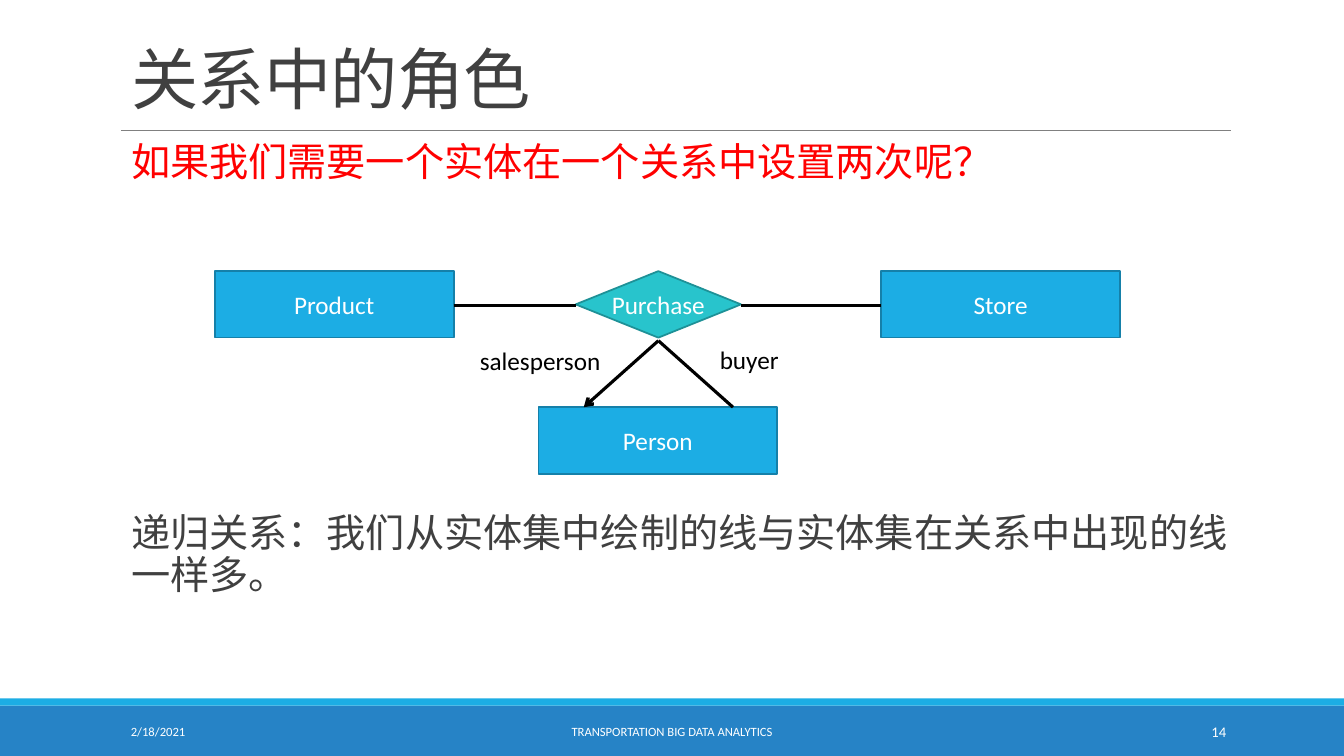
from lxml.etree import SubElement
from pptx import Presentation
from pptx.dml.color import RGBColor
from pptx.enum.shapes import MSO_CONNECTOR, MSO_SHAPE
from pptx.enum.text import MSO_ANCHOR, MSO_AUTO_SIZE, PP_ALIGN
from pptx.oxml.ns import qn
from pptx.util import Inches, Pt

COLORS = {
    "sky": "1CADE4", "sky edge": "1580A9", "teal": "28C4CC", "teal edge": "1E9197",
    "blue": "2683C6", "gray": "808080", "dark": "404040", "red": "FF0000",
    "black": "000000", "white": "FFFFFF",
}


def color(name):
    return RGBColor.from_string(COLORS[name])


class Deck:
    font = "Calibri"

    def __init__(self):
        self.file = Presentation()
        self.file.slide_width = Inches(13.33)
        self.file.slide_height = Inches(7.5)
        self.slide = self.file.slides.add_slide(self.file.slide_layouts[1])
        self.shapes = self.slide.shapes

    def style(self, par, size, ink, align=PP_ALIGN.LEFT):
        par.alignment = align
        for run in par.runs:
            run.font.name = self.font
            run.font.size = Pt(size)
            run.font.color.rgb = color(ink)

    def place(self, holder, box, anchor):
        holder.left, holder.top, holder.width, holder.height = map(Inches, box)
        frame = holder.text_frame
        frame.word_wrap = True
        frame.auto_size = MSO_AUTO_SIZE.NONE
        frame.vertical_anchor = anchor
        return frame

    def title(self, text, box):
        frame = self.place(self.shapes.title, box, MSO_ANCHOR.BOTTOM)
        frame.text = text
        par = frame.paragraphs[0]
        par.line_spacing = 0.85
        self.style(par, 48, "dark")
        par.runs[0].font._element.set("spc", "-50")

    def body(self, items, box):
        frame = self.place(self.slide.placeholders[1], box, MSO_ANCHOR.TOP)
        frame.margin_left = frame.margin_right = 0
        frame.text = "\n".join(text for text, ink, gap in items)
        for par, (text, ink, gap) in zip(frame.paragraphs, items):
            props = par._p.get_or_add_pPr()
            props.set("marL", str(Inches(0.1)))
            props.set("indent", "0")
            SubElement(props, qn("a:buNone"))
            par.line_spacing = 0.9
            par.space_before = Pt(gap)
            par.space_after = Pt(2)
            self.style(par, 28, ink)

    def shape(self, kind, box, fill, edge=None, text=""):
        shape = self.shapes.add_shape(kind, *map(Inches, box))
        shape.shadow.inherit = False
        shape.fill.solid()
        shape.fill.fore_color.rgb = color(fill)
        if edge:
            shape.line.color.rgb = color(edge)
            shape.line.width = Pt(1.25)
        else:
            shape.line.fill.background()
        if text:
            frame = shape.text_frame
            frame.text = text
            frame.word_wrap = False
            frame.vertical_anchor = MSO_ANCHOR.MIDDLE
            self.style(frame.paragraphs[0], 18, "white", PP_ALIGN.CENTER)

    def line(self, start, end, ink="black", width=2.25, arrow=False):
        line = self.shapes.add_connector(
            MSO_CONNECTOR.STRAIGHT, *map(Inches, start + end))
        line.line.color.rgb = color(ink)
        line.line.width = Pt(width)
        if arrow:
            SubElement(line.line._get_or_add_ln(), qn("a:tailEnd"), type="arrow")
        SubElement(line._element.spPr, qn("a:effectLst"))

    def label(self, text, box, size, ink, align=PP_ALIGN.LEFT,
              anchor=MSO_ANCHOR.TOP, wrap=True):
        frame = self.shapes.add_textbox(*map(Inches, box)).text_frame
        frame.text = text
        frame.word_wrap = wrap
        frame.vertical_anchor = anchor
        self.style(frame.paragraphs[0], size, ink, align)


def main():
    deck = Deck()

    # Footer bands and title rule
    deck.shape(MSO_SHAPE.RECTANGLE, (0, 7, 13.33, 0.5), "blue")
    deck.shape(MSO_SHAPE.RECTANGLE, (0, 6.93, 13.33, 0.07), "sky")
    deck.line((1.2, 1.29), (12.21, 1.29), "gray", 0.5)

    # Title and body, with room for the diagram between the paragraphs
    deck.title("关系中的角色", (1.2, 0.13, 11, 1.09))
    deck.body([
        ("如果我们需要一个实体在一个关系中设置两次呢？", "red", 0),
        ("递归关系：我们从实体集中绘制的线与实体集在关系中出现的线一样多。", "dark", 233),
    ], (1.2, 1.36, 11, 5.53))

    # Relationship and its entities
    deck.shape(MSO_SHAPE.DIAMOND, (5.71, 2.69, 1.64, 0.66),
               "teal", "teal edge", "Purchase")
    for name, left, top in (("Product", 2.13, 2.69), ("Person", 5.34, 4.04),
                            ("Store", 8.74, 2.69)):
        deck.shape(MSO_SHAPE.RECTANGLE, (left, top, 2.37, 0.66),
                   "sky", "sky edge", name)

    # Links and role names
    deck.line((4.5, 3.03), (5.71, 3.03))
    deck.line((7.35, 3.03), (8.74, 3.03))
    deck.line((6.53, 3.38), (5.79, 4.04), arrow=True)
    deck.line((6.53, 3.38), (7.27, 4.04))
    deck.label("salesperson", (4.66, 3.38, 1.41, 0.4), 18, "black", wrap=False)
    deck.label("buyer", (7.04, 3.37, 0.79, 0.4), 18, "black", wrap=False)

    # Footer text
    for text, left, width, size, align in (
            ("2/18/2021", 1.2, 2.7, 9, PP_ALIGN.LEFT),
            ("TRANSPORTATION BIG DATA ANALYTICS", 4.03, 5.27, 9, PP_ALIGN.CENTER),
            ("14", 10.83, 1.43, 10.5, PP_ALIGN.RIGHT)):
        deck.label(text, (left, 7.06, width, 0.4), size, "white", align,
                   MSO_ANCHOR.MIDDLE)

    deck.file.save("out.pptx")


if __name__ == "__main__":
    main()
